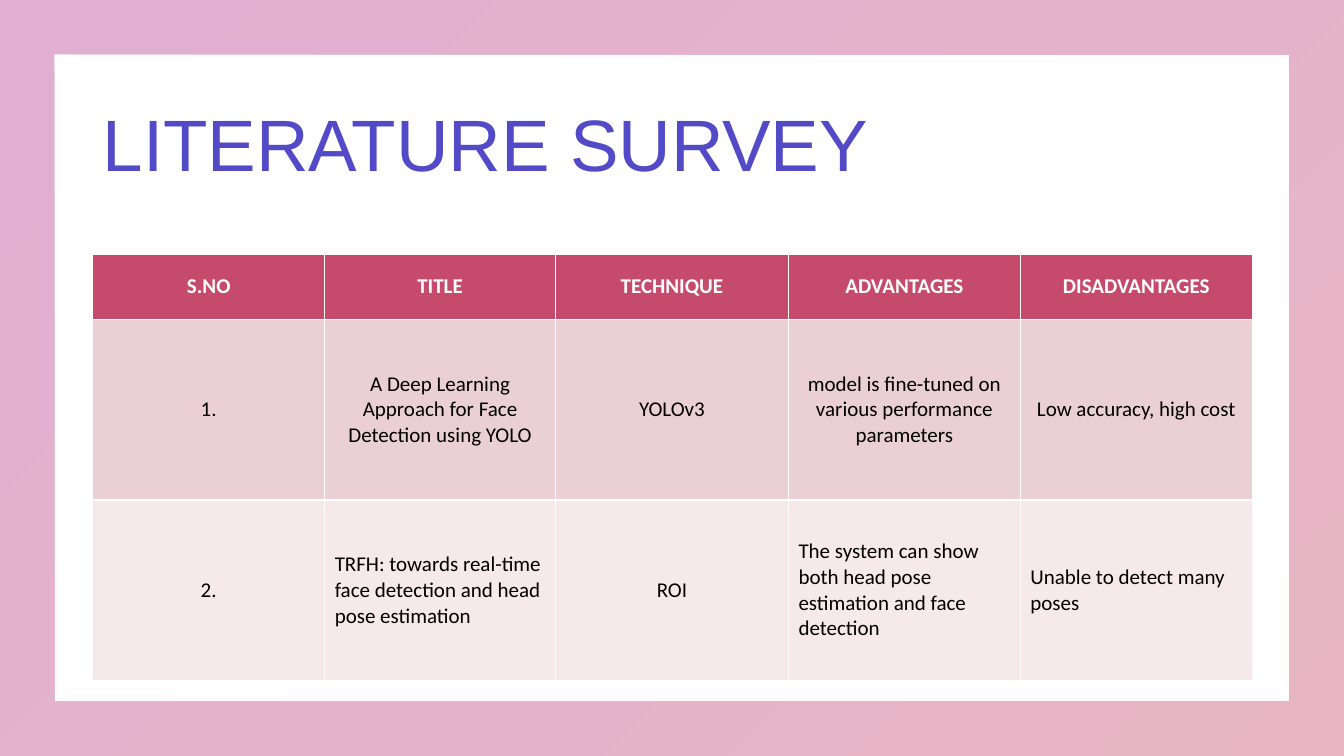
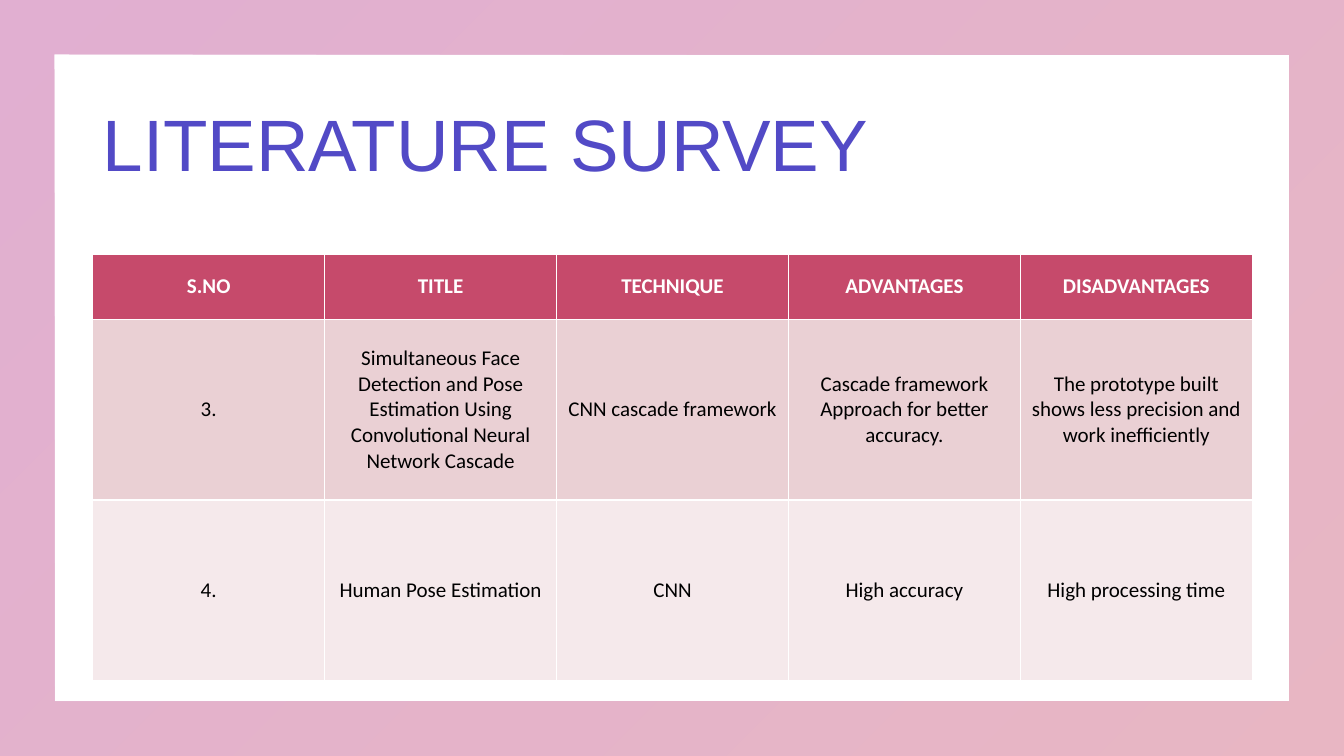
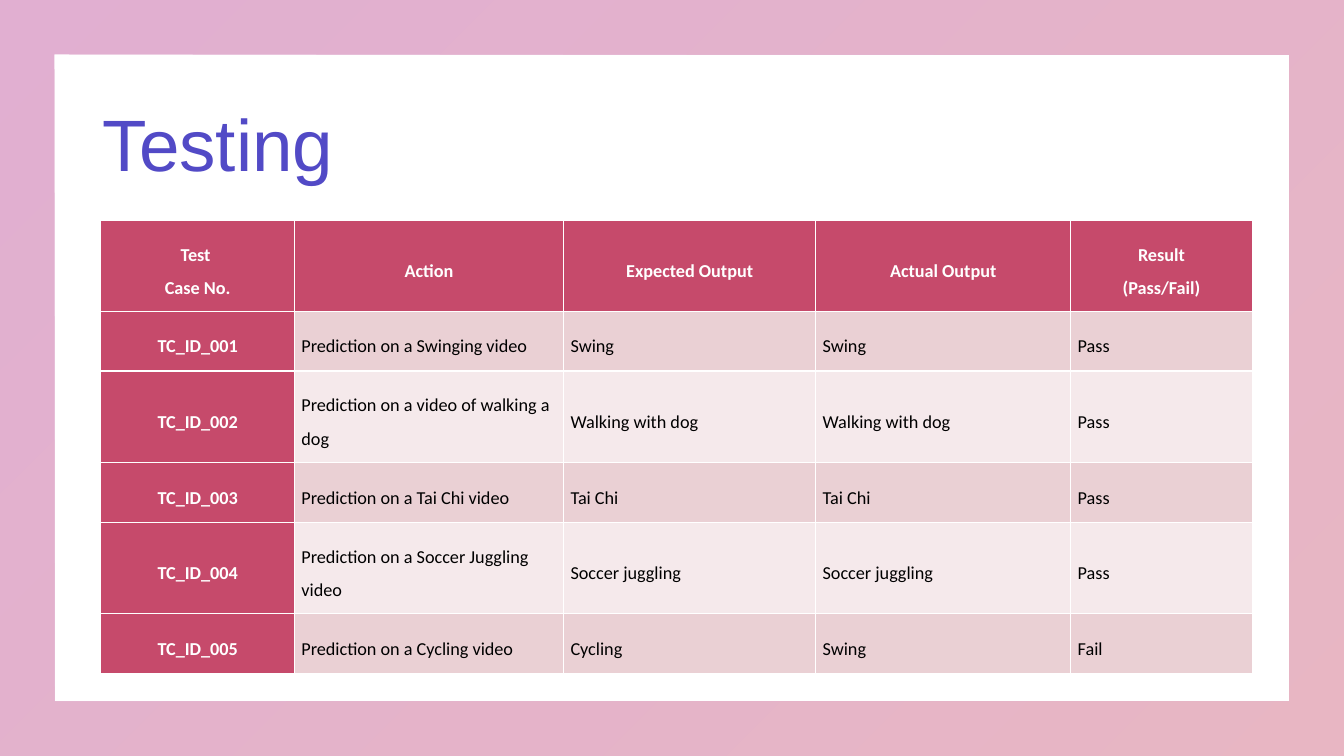
from lxml import etree
from pptx import Presentation
from pptx.dml.color import RGBColor
from pptx.enum.shapes import MSO_SHAPE
from pptx.enum.text import MSO_ANCHOR, MSO_AUTO_SIZE, PP_ALIGN
from pptx.oxml.ns import qn
from pptx.util import Inches, Pt

MIDDLE = MSO_ANCHOR.MIDDLE
LEFT, CENTER = PP_ALIGN.LEFT, PP_ALIGN.CENTER

WHITE = RGBColor(0xFF, 0xFF, 0xFF)
BLACK = RGBColor(0x00, 0x00, 0x00)
ROSE = RGBColor(0xC6, 0x4A, 0x6B)
MAGENTA = RGBColor(0xB4, 0x38, 0x8D)
INDIGO = RGBColor(0x52, 0x4A, 0xC6)
BANDS = (RGBColor(0xEA, 0xD0, 0xD4), RGBColor(0xF5, 0xE9, 0xEB))

TITLE_FONT, TABLE_FONT = "Arial", "Calibri"
TITLE_BOX = (0.92, 0.74, 11.5, 1.45)

SURVEY_HEAD = ["S.NO", "TITLE", "TECHNIQUE", "ADVANTAGES", "DISADVANTAGES"]
SURVEY_BOX = (0.92, 2.52)
SURVEY_ROWS = [0.65, 1.79, 1.79]
SURVEYS = [
    {
        "cols": [2.3, 2.29, 2.31, 2.3, 2.3],
        "left_cells": {(2, 1), (2, 3), (2, 4)},
        "papers": [
            ["1.", "A Deep Learning Approach for Face Detection using YOLO", "YOLOv3",
             "model is fine-tuned on various performance parameters",
             "Low accuracy, high cost"],
            ["2.", "TRFH: towards real-time face detection and head pose estimation", "ROI",
             "The system can show both head pose estimation and face detection",
             "Unable to detect many poses"],
        ],
    },
    {
        "cols": [2.3] * 5,
        "left_cells": set(),
        "papers": [
            ["3.", "Simultaneous Face Detection and Pose Estimation Using "
             "Convolutional Neural Network Cascade", "CNN cascade framework",
             "Cascade framework Approach for better accuracy.",
             "The prototype built shows less precision and work inefficiently"],
            ["4.", "Human Pose Estimation", "CNN", "High accuracy", "High processing time"],
        ],
    },
]

TEST_BOX = (1, 2.19)
TEST_COLS = [1.92, 2.67, 2.5, 2.53, 1.8]
TEST_ROWS = [0.9, 0.59, 0.91, 0.59, 0.91, 0.59]
# "\v" breaks a line, "\n" starts a paragraph
TESTS = [
    ["Test \vCase No.", "Action", "Expected Output", "Actual Output", "Result\n(Pass/Fail)"],
    ["TC_ID_001", "Prediction on a Swinging video", "Swing", "Swing", "Pass"],
    ["TC_ID_002", "Prediction on a video of walking a dog",
     "Walking with dog", "Walking with dog", "Pass"],
    ["TC_ID_003", "Prediction on a Tai Chi video", "Tai Chi", "Tai Chi", "Pass"],
    ["TC_ID_004", "Prediction on a Soccer Juggling video",
     "Soccer juggling", "Soccer juggling", "Pass"],
    ["TC_ID_005", "Prediction on a Cycling video", "Cycling", "Swing", "Fail"],
]


def set_gradient(fill, owner, stops, angle):
    """Fill with (position %, colour, opacity %) stops; owner is the XML holding the fill."""
    fill.gradient()
    grad = owner.find(".//" + qn("a:gradFill"))
    grad.clear()
    stop_list = etree.SubElement(grad, qn("a:gsLst"))
    for pos, color, opacity in stops:
        gs = etree.SubElement(stop_list, qn("a:gs"), pos=str(pos * 1000))
        clr = etree.SubElement(gs, qn("a:srgbClr"), val=str(color))
        if opacity < 100:
            etree.SubElement(clr, qn("a:alpha"), val=str(opacity * 1000))
    etree.SubElement(grad, qn("a:lin"), ang=str(angle * 60000), scaled="0")


def add_layout_frame(prs, s, layout):
    """Draw the border frame and move it into the layout, behind its placeholders."""
    frame = s.shapes.add_shape(MSO_SHAPE.FRAME, 0, 0, prs.slide_width, prs.slide_height)
    frame.adjustments[0] = 0.072
    frame.shadow.inherit = False
    frame.line.fill.background()
    set_gradient(frame.fill, frame.element, [(0, MAGENTA, 40), (100, ROSE, 40)], 45)
    layout.shapes.element.insert(2, frame.element)


def set_title(s, text):
    title = s.shapes.title
    title.left, title.top, title.width, title.height = map(Inches, TITLE_BOX)
    tf = title.text_frame
    tf.word_wrap = True
    tf.auto_size = MSO_AUTO_SIZE.NONE
    tf.vertical_anchor = MIDDLE
    p = tf.paragraphs[0]
    p.alignment = LEFT
    p.line_spacing = 0.9
    r = p.add_run()
    r.text = text
    r.font.size = Pt(52)
    r.font.name = TITLE_FONT
    set_gradient(r.font.fill, p._p, [(0, INDIGO, 100), (100, ROSE, 70)], 0)


def fill_cell(cell, text, size, align, strong, band, spacing):
    cell.fill.solid()
    cell.fill.fore_color.rgb = ROSE if strong else band
    cell.vertical_anchor = MIDDLE
    tf = cell.text_frame
    for i, para in enumerate(text.split("\n")):
        p = tf.add_paragraph() if i else tf.paragraphs[0]
        p.alignment = align
        if spacing:
            p.line_spacing = spacing
        for j, line in enumerate(para.split("\v")):
            if j:
                p.add_line_break()
            r = p.add_run()
            r.text = line
            r.font.size = Pt(size)
            r.font.name = TABLE_FONT
            r.font.bold = strong
            r.font.color.rgb = WHITE if strong else BLACK


def add_grid(s, box, cols, heights, rows, size, left_cells, first_col=False, spacing=None):
    """Add a banded table; white rules come from the default table style."""
    left, top = box
    table = s.shapes.add_table(len(rows), len(cols), Inches(left), Inches(top),
                               Inches(sum(cols)), Inches(sum(heights))).table
    table.first_col = first_col
    for column, width in zip(table.columns, cols):
        column.width = Inches(width)
    for i, texts in enumerate(rows):
        table.rows[i].height = Inches(heights[i])
        for j, text in enumerate(texts):
            cell = table.cell(i, j)
            strong = i == 0 or (first_col and j == 0)
            align = LEFT if (i, j) in left_cells else CENTER
            fill_cell(cell, text, size, align, strong, BANDS[(i - 1) % 2], spacing)
    return table


def build_survey(s, survey):
    set_title(s, "LITERATURE SURVEY")
    add_grid(s, SURVEY_BOX, survey["cols"], SURVEY_ROWS,
             [SURVEY_HEAD] + survey["papers"], 15, survey["left_cells"])


def build_testing(s):
    set_title(s, "Testing")
    left_cells = {(i, j) for i in range(1, len(TESTS)) for j in range(1, len(TEST_COLS))}
    table = add_grid(s, TEST_BOX, TEST_COLS, TEST_ROWS, TESTS, 13, left_cells,
                     first_col=True, spacing=1.5)
    for cell in table.iter_cells():
        cell.margin_left = cell.margin_right = Inches(0.07)
        cell.margin_top = cell.margin_bottom = 0


def main():
    prs = Presentation()
    prs.slide_width, prs.slide_height = Inches(13.33), Inches(7.5)
    layout = prs.slide_layouts[5]
    slides = [prs.slides.add_slide(layout) for _ in range(3)]
    add_layout_frame(prs, slides[0], layout)
    for s, survey in zip(slides, SURVEYS):
        build_survey(s, survey)
    build_testing(slides[-1])
    prs.save("out.pptx")


if __name__ == "__main__":
    main()
